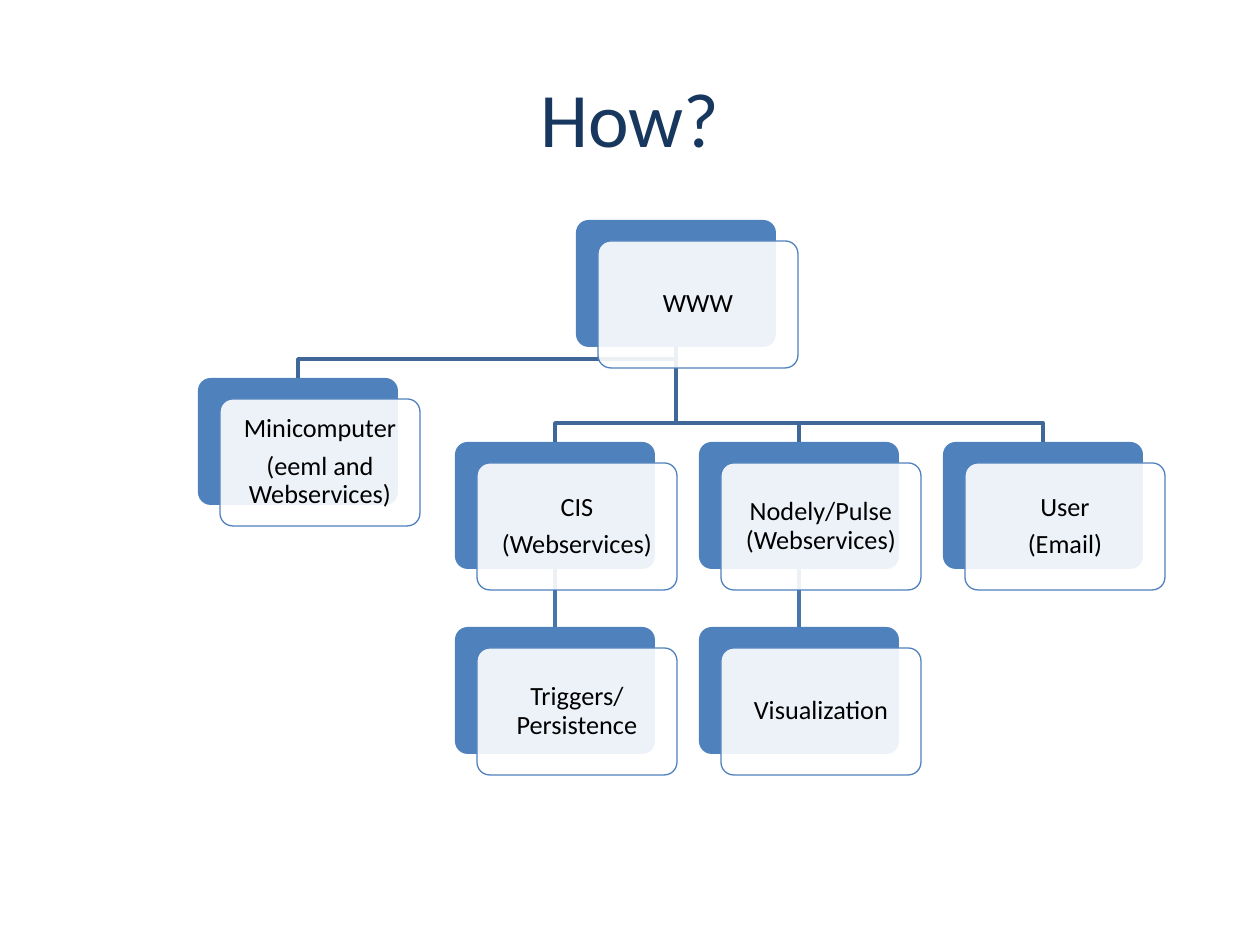
from dataclasses import dataclass
from typing import Optional

from lxml.etree import SubElement
from pptx import Presentation
from pptx.dml.color import RGBColor
from pptx.enum.shapes import MSO_CONNECTOR as Link, MSO_SHAPE as Preset
from pptx.enum.text import MSO_ANCHOR as Anchor, PP_ALIGN as Align
from pptx.oxml.ns import qn
from pptx.util import Emu, Pt

EMU_PER_PX = 914400 / 126


@dataclass(frozen=True)
class Theme:
    font: str = "Calibri"
    title: str = "17375E"
    text: str = "000000"
    accent: str = "4F81BD"
    paper: str = "FFFFFF"
    upper_link: str = "3F6797"
    lower_link: str = "4875AC"
    title_size: int = 44
    node_size: int = 15
    link_width: float = 2
    outline_width: float = 0.75


@dataclass(frozen=True)
class Node:
    left: int
    top: int
    lines: tuple[str, ...]
    parent: Optional["Node"] = None

    @property
    def center(self) -> int:
        return self.left + CARD_W // 2

    @property
    def bottom(self) -> int:
        return self.top + CARD_H


THEME = Theme()
CARD_W, CARD_H = 200, 127
FRONT_DX, FRONT_DY = 22, 21
BEND_GAP = 19
CARD_MARGIN = 7
FIRST_COLUMN, COLUMN_STEP = 455, 244
SERVICE_TOP, RESULT_TOP = 442, 627


def px(length: int) -> Emu:
    return Emu(round(length * EMU_PER_PX))


def color(value: str) -> RGBColor:
    return RGBColor.from_string(value)


def write(frame, lines: tuple[str, ...], *, size: int, ink: str,
          margin: int, line_spacing: float = 1.0, after: float = 0) -> None:
    frame.word_wrap = True
    frame.vertical_anchor = Anchor.MIDDLE
    frame.margin_left = frame.margin_right = px(margin)
    frame.margin_top = frame.margin_bottom = px(margin)
    for index, line in enumerate(lines):
        paragraph = frame.add_paragraph() if index else frame.paragraphs[0]
        paragraph.alignment = Align.CENTER
        paragraph.line_spacing = line_spacing
        paragraph.space_after = Pt(after)
        run = paragraph.add_run()
        run.text = line
        run.font.name = THEME.font
        run.font.size = Pt(size)
        run.font.color.rgb = color(ink)


def draw_plate(slide, left: int, top: int, fill: str):
    plate = slide.shapes.add_shape(
        Preset.ROUNDED_RECTANGLE, px(left), px(top), px(CARD_W), px(CARD_H))
    plate.adjustments[0] = 0.1
    plate.shadow.inherit = False
    plate.fill.solid()
    plate.fill.fore_color.rgb = color(fill)
    plate.line.fill.background()
    return plate


def draw_node(slide, node: Node) -> None:
    draw_plate(slide, node.left, node.top, THEME.accent)
    front = draw_plate(slide, node.left + FRONT_DX, node.top + FRONT_DY, THEME.paper)
    tint = front.fill._xPr.find(qn("a:solidFill"))[0]
    SubElement(tint, qn("a:alpha")).set("val", "90000")
    front.line.color.rgb = color(THEME.accent)
    front.line.width = Pt(THEME.outline_width)
    write(front.text_frame, node.lines, size=THEME.node_size, ink=THEME.text,
          margin=CARD_MARGIN, line_spacing=0.9, after=5.25)


def draw_link(slide, parent: Node, child: Node) -> None:
    if parent.center == child.center:
        link = slide.shapes.add_connector(
            Link.STRAIGHT, px(parent.center), px(parent.bottom),
            px(child.center), px(child.top))
        SubElement(link._element.spPr, qn("a:effectLst"))
        ink = THEME.lower_link
    else:
        bend = child.top - BEND_GAP
        outline = slide.shapes.build_freeform(
            parent.center, parent.bottom, scale=EMU_PER_PX)
        outline.add_line_segments(
            [(parent.center, bend), (child.center, bend), (child.center, child.top)],
            close=False)
        link = outline.convert_to_shape()
        link.shadow.inherit = False
        link.fill.background()
        ink = THEME.upper_link
    link.line.color.rgb = color(ink)
    link.line.width = Pt(THEME.link_width)


def build_nodes() -> list[Node]:
    cis_left, platform_left, user_left = (
        FIRST_COLUMN + COLUMN_STEP * column for column in range(3))
    www = Node(576, 220, ("WWW",))
    device = Node(198, 378, ("Minicomputer", "(eeml and Webservices)"), www)
    cis = Node(cis_left, SERVICE_TOP, ("CIS", "(Webservices)"), www)
    triggers = Node(cis_left, RESULT_TOP, ("Triggers/Persistence",), cis)
    platform = Node(platform_left, SERVICE_TOP, ("Nodely/Pulse (Webservices)",), www)
    visualization = Node(platform_left, RESULT_TOP, ("Visualization",), platform)
    user = Node(user_left, SERVICE_TOP, ("User", "(Email)"), www)
    return [www, device, cis, triggers, platform, visualization, user]


def main() -> None:
    deck = Presentation()
    deck.slide_width, deck.slide_height = px(1260), px(945)
    slide = deck.slides.add_slide(deck.slide_layouts[5])
    title = slide.shapes.title
    title.left, title.top, title.width, title.height = map(px, (63, 38, 1134, 158))
    write(title.text_frame, ("How?",), size=THEME.title_size, ink=THEME.title, margin=6)

    nodes = build_nodes()
    for node in reversed(nodes):
        if node.parent:
            draw_link(slide, node.parent, node)
    for node in nodes:
        draw_node(slide, node)
    deck.save("out.pptx")


if __name__ == "__main__":
    main()
